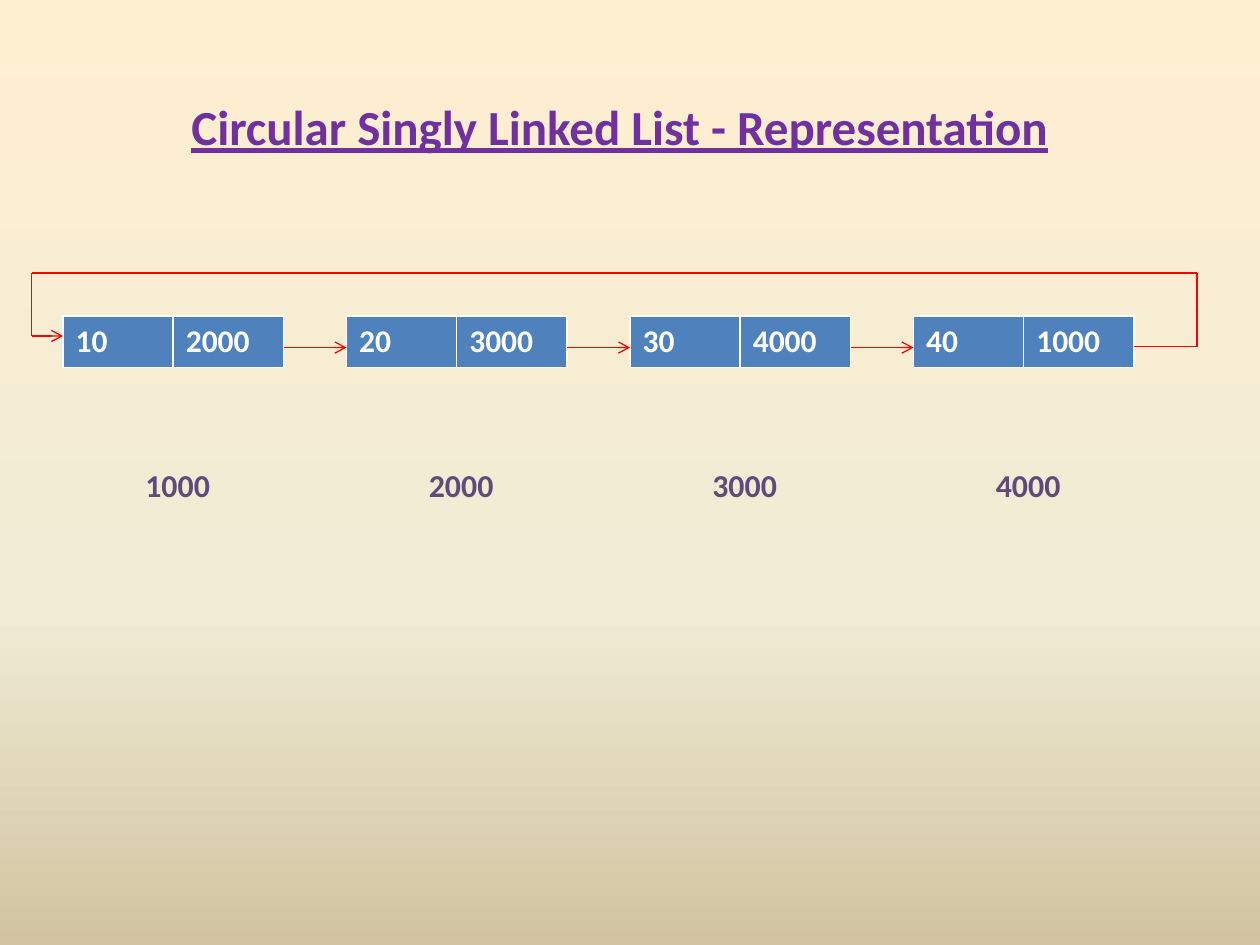
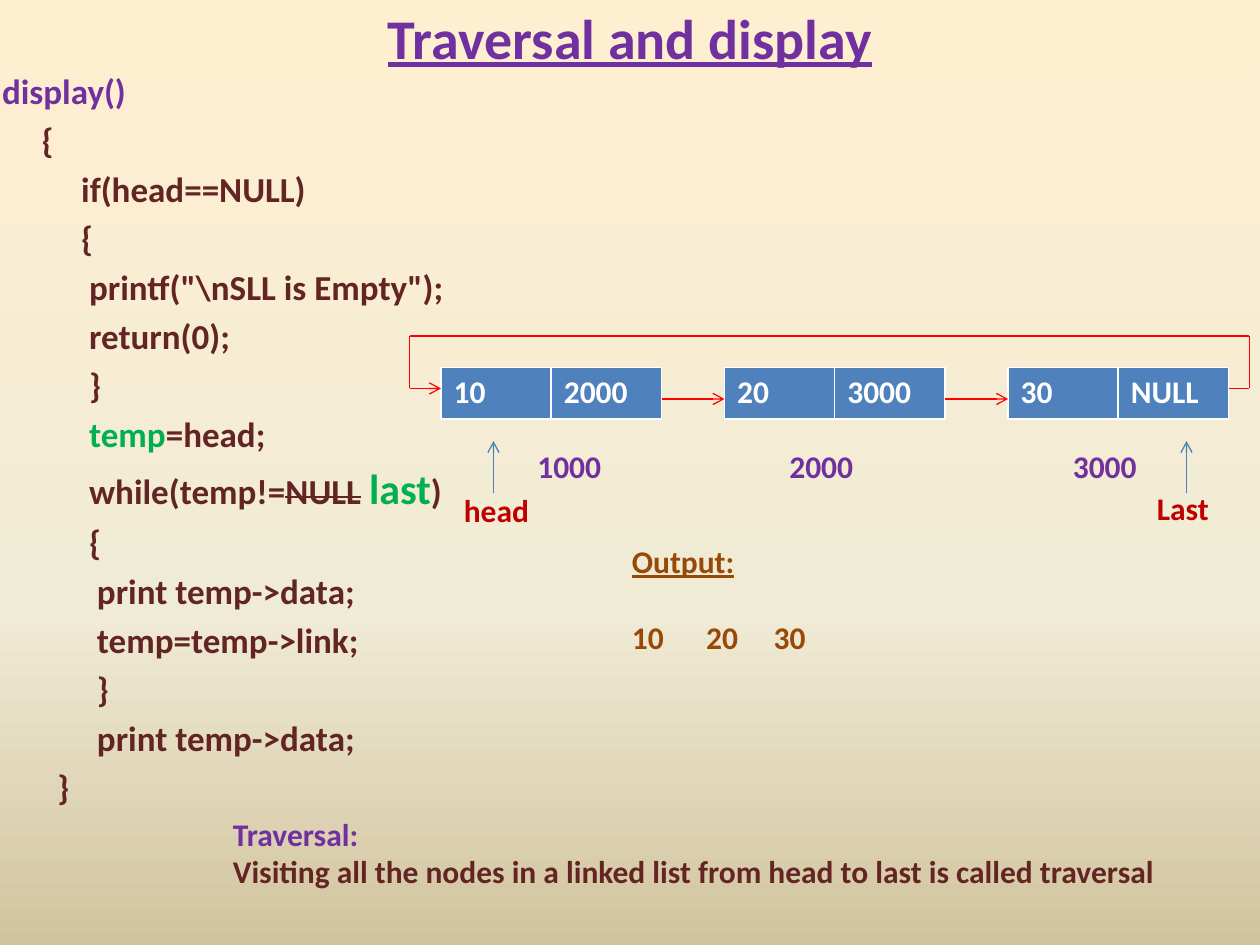
from copy import deepcopy

from pptx import Presentation
from pptx.dml.color import RGBColor
from pptx.enum.shapes import MSO_CONNECTOR
from pptx.enum.text import MSO_ANCHOR, MSO_AUTO_SIZE, PP_ALIGN
from pptx.oxml.ns import qn
from pptx.util import Pt
from lxml import etree

STRAIGHT = MSO_CONNECTOR.STRAIGHT
CENTER, LEFT = PP_ALIGN.CENTER, PP_ALIGN.LEFT
MIDDLE = MSO_ANCHOR.MIDDLE
NO_AUTOFIT = MSO_AUTO_SIZE.NONE

THEME = {
    "font": "Calibri",
    "background": [(0, "FFEFD1"), (0.65, "F0EBD5"), (1, "D1C39F")],
    "node": "4F81BD",
    "link": "FF0000",
    "pointer": "4B7EBC",
    "line": 0.75,
    "text": {
        "heading": {"size": 28, "color": "7030A0", "underline": True},
        "title": {"size": 32, "color": "7030A0", "underline": True},
        "node": {"size": 18, "color": "FFFFFF"},
        "plain_address": {"size": 18.2, "color": "604A7B"},
        "address": {"size": 18, "color": "7030A0"},
        "pointer": {"size": 18, "color": "C00000"},
        "signature": {"size": 20, "color": "7030A0"},
        "code": {"size": 20, "color": "632523"},
        "removed": {"size": 20, "color": "632523", "strike": True},
        "changed": {"size": 20, "color": "00B050"},
        "emphasis": {"size": 24, "color": "00B050"},
        "term": {"size": 18, "color": "7030A0"},
        "definition": {"size": 18, "color": "632523"},
        "output_head": {"size": 18, "color": "984807", "underline": True},
        "output": {"size": 18, "color": "984807"},
    },
}

NODE_W, NODE_H, NODE_STEP = 126, 29.4, 162
LINK_DROP = 18
LABEL_W, LABEL_H = 66, 29
CODE_SPACE = 4.52

REPRESENTATION = {
    "title": "Circular Singly Linked List - Representation",
    "title_style": "heading",
    "title_box": (18, 47, 672, 50),
    "origin": (36, 180.6),
    "nodes": [("10", "2000"), ("20", "3000"), ("30", "4000"), ("40", "1000")],
    "loop": {"left": 18, "right": 684, "top": 156, "entry": 192, "exit": 198},
    "addresses": [("1000", 40), ("2000", 40), ("3000", 40), ("4000", 40)],
    "address_top": 262.5,
    "address_style": "plain_address",
}

TRAVERSAL = {
    "title": "Traversal and display",
    "title_style": "title",
    "title_box": (36, -24, 648, 90),
    "origin": (252, 210),
    "nodes": [("10", "2000"), ("20", "3000"), ("30", "NULL")],
    "loop": {"left": 234, "right": 714, "top": 192, "entry": 222, "exit": 222},
    "addresses": [("1000", 48), ("2000", 30), ("3000", 30)],
    "address_top": 252,
    "address_style": "address",
}

CODE_BOX = (-6, 36, 270, 405)
CODE = [
    (0, [("display()", "signature")]),
    (5, [("{", "code")]),
    (10, [("if(head==NULL)", "code")]),
    (10, [("{", "code")]),
    (11, [('printf("\\nSLL is Empty");', "code")]),
    (11, [("return(0);", "code")]),
    (11, [("}", "code")]),
    (11, [("temp", "changed"), ("=head;", "code")]),
    (11, [("while(temp!=", "code"), ("NULL", "removed"), (" ", "code"),
          ("last", "emphasis"), (")", "code")]),
    (11, [("{", "code")]),
    (12, [("print temp->data;", "code")]),
    (12, [("temp=temp->link;", "code")]),
    (12, [("}", "code")]),
    (12, [("print temp->data;", "code")]),
    (7, [("}", "code")]),
]

POINTERS = [("head", 282, (258, 277)), ("Last", 678, (654, 276))]
POINTER_FROM, POINTER_TO = 282, 252

DEFINITION_BOX = (126, 462, 558, 73)
DEFINITION = [
    ("Traversal:", "term"),
    ("Visiting all the nodes in a linked list from head to last is called traversal",
     "definition"),
]
OUTPUT_BOX = (354, 306, 306, 73)
OUTPUT = [("Output:", "output_head"), ("10\t20\t30", "output")]
OUTPUT_GAP = 22
OUTPUT_TABS = (42.5, 81)


def rgb(value):
    return RGBColor.from_string(value)


def points(values):
    return [Pt(value) for value in values]


def write(paragraph, text, style):
    run = paragraph.add_run()
    run.text = text
    look = THEME["text"][style]
    formats = {"name": THEME["font"], "size": Pt(look["size"]), "bold": True,
               "underline": look.get("underline", False)}
    for key, value in formats.items():
        setattr(run.font, key, value)
    run.font.color.rgb = rgb(look["color"])
    if look.get("strike"):
        run._r.get_or_add_rPr().set("strike", "sngStrike")


def place(shape, box):
    for key, value in zip(("left", "top", "width", "height"), points(box)):
        setattr(shape, key, value)


def add_text(slide, box, lines):
    frame = slide.shapes.add_textbox(*points(box)).text_frame
    frame.word_wrap = True
    for i, (text, style) in enumerate(lines):
        paragraph = frame.add_paragraph() if i else frame.paragraphs[0]
        paragraph.alignment = LEFT
        write(paragraph, text, style)
    return frame


def add_line(shapes, start, end, color, arrow=False):
    connector = shapes.add_connector(STRAIGHT, *points(start + end))
    connector.line.color.rgb = rgb(color)
    connector.line.width = Pt(THEME["line"])
    if arrow:
        etree.SubElement(connector.line._get_or_add_ln(), qn("a:tailEnd"), type="arrow")
    etree.SubElement(connector._element.spPr, qn("a:effectLst"))


def add_node(slide, x, y, values):
    table = slide.shapes.add_table(1, 2, *points((x, y, NODE_W, NODE_H))).table
    for cell, value in zip(table.rows[0].cells, values):
        cell.fill.solid()
        cell.fill.fore_color.rgb = rgb(THEME["node"])
        write(cell.text_frame.paragraphs[0], value, "node")


def add_loop(slide, first_x, last_x, loop):
    left, right, top = loop["left"], loop["right"], loop["top"]
    route = [(last_x, loop["exit"]), (right, loop["exit"]), (right, top),
             (left, top), (left, loop["entry"]), (first_x, loop["entry"])]
    shapes = slide.shapes.add_group_shape().shapes
    for i, (start, end) in enumerate(zip(route, route[1:])):
        add_line(shapes, start, end, THEME["link"], arrow=i == len(route) - 2)


def add_circular_list(slide, content):
    x0, y = content["origin"]
    starts = [x0 + i * NODE_STEP for i in range(len(content["nodes"]))]
    for x, values in zip(starts, content["nodes"]):
        add_node(slide, x, y, values)
    for x, following in zip(starts, starts[1:]):
        add_line(slide.shapes, (x + NODE_W, y + LINK_DROP),
                 (following, y + LINK_DROP), THEME["link"], arrow=True)
    add_loop(slide, x0, starts[-1] + NODE_W, content["loop"])
    for x, (address, shift) in zip(starts, content["addresses"]):
        add_text(slide, (x + shift, content["address_top"], LABEL_W, LABEL_H),
                 [(address, content["address_style"])])


def add_list_slide(deck, layout, content):
    slide = deck.slides.add_slide(deck.slide_layouts[layout])
    title = slide.shapes.title
    place(title, content["title_box"])
    frame = title.text_frame
    for key, value in {"vertical_anchor": MIDDLE, "auto_size": NO_AUTOFIT}.items():
        setattr(frame, key, value)
    frame.paragraphs[0].alignment = CENTER
    write(frame.paragraphs[0], content["title"], content["title_style"])
    add_circular_list(slide, content)
    return slide


def add_code(slide):
    body = slide.placeholders[1]
    place(body, CODE_BOX)
    frame = body.text_frame
    frame.auto_size = NO_AUTOFIT
    for i, (indent, parts) in enumerate(CODE):
        paragraph = frame.add_paragraph() if i else frame.paragraphs[0]
        properties = paragraph._p.get_or_add_pPr()
        for key, value in {"marL": Pt(indent * CODE_SPACE), "indent": 0}.items():
            properties.set(key, str(int(value)))
        etree.SubElement(properties, qn("a:buNone"))
        for text, style in parts:
            write(paragraph, text, style)


def add_output(slide):
    values = add_text(slide, OUTPUT_BOX, OUTPUT).paragraphs[-1]
    values.space_before = Pt(OUTPUT_GAP)
    tabs = etree.SubElement(values._p.get_or_add_pPr(), qn("a:tabLst"))
    for position in OUTPUT_TABS:
        etree.SubElement(tabs, qn("a:tab"), pos=str(int(Pt(position))), algn="l")


def paint_background(master):
    fill = master.background.fill
    fill.gradient()
    fill.gradient_angle = 270
    stops = next(master.element.iter(qn("a:gsLst")))
    stops.append(deepcopy(stops[-1]))
    for stop, (position, color) in zip(fill.gradient_stops, THEME["background"]):
        stop.position = position
        stop.color.rgb = rgb(color)


deck = Presentation()
deck.slide_width, deck.slide_height = Pt(720), Pt(540)
paint_background(deck.slide_master)

add_list_slide(deck, 5, REPRESENTATION)

traversal = add_list_slide(deck, 1, TRAVERSAL)
add_code(traversal)
for name, x, (left, top) in POINTERS:
    add_line(traversal.shapes, (x, POINTER_FROM), (x, POINTER_TO),
             THEME["pointer"], arrow=True)
    add_text(traversal, (left, top, LABEL_W, LABEL_H), [(name, "pointer")])
add_output(traversal)
add_text(traversal, DEFINITION_BOX, DEFINITION)

deck.save("out.pptx")
